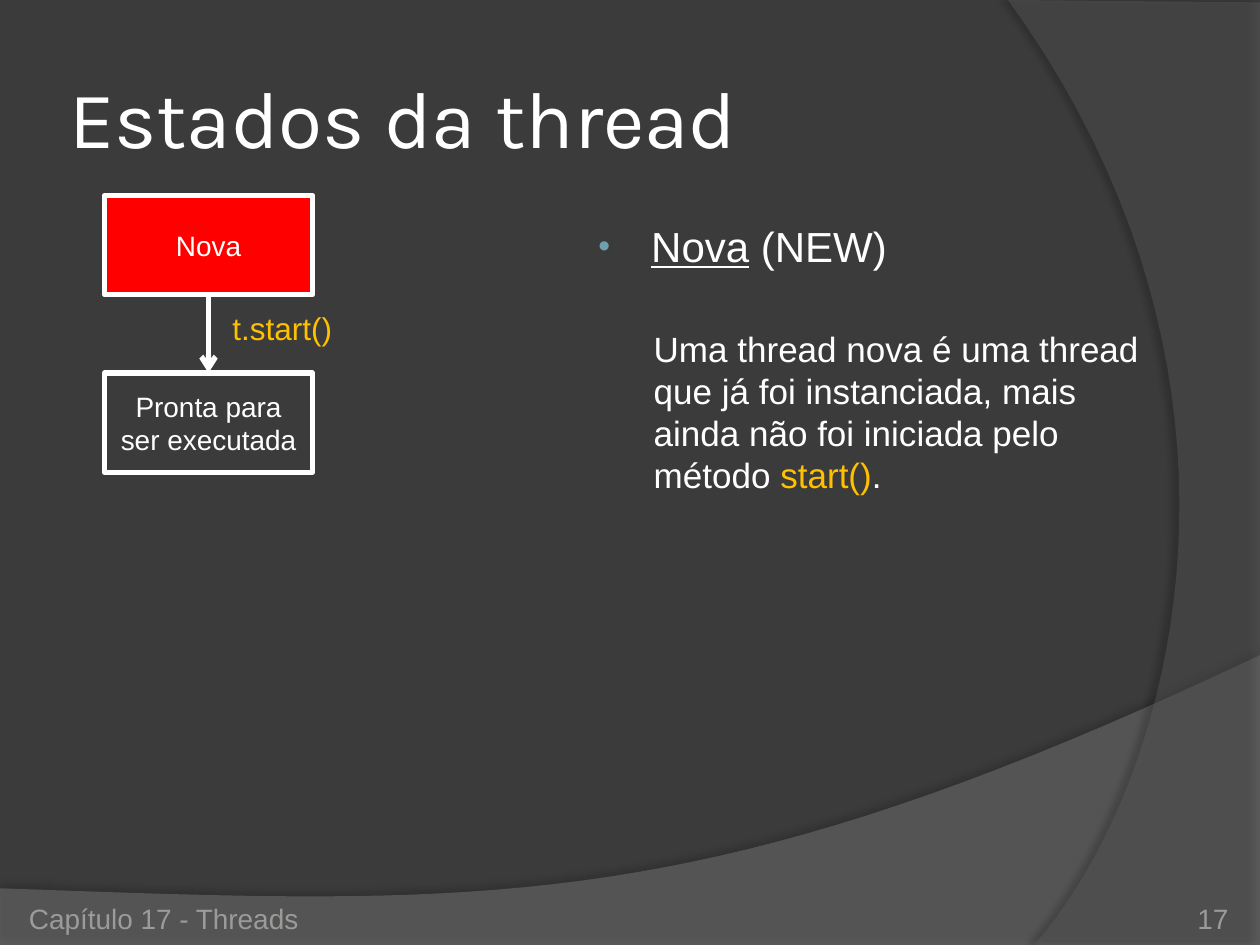
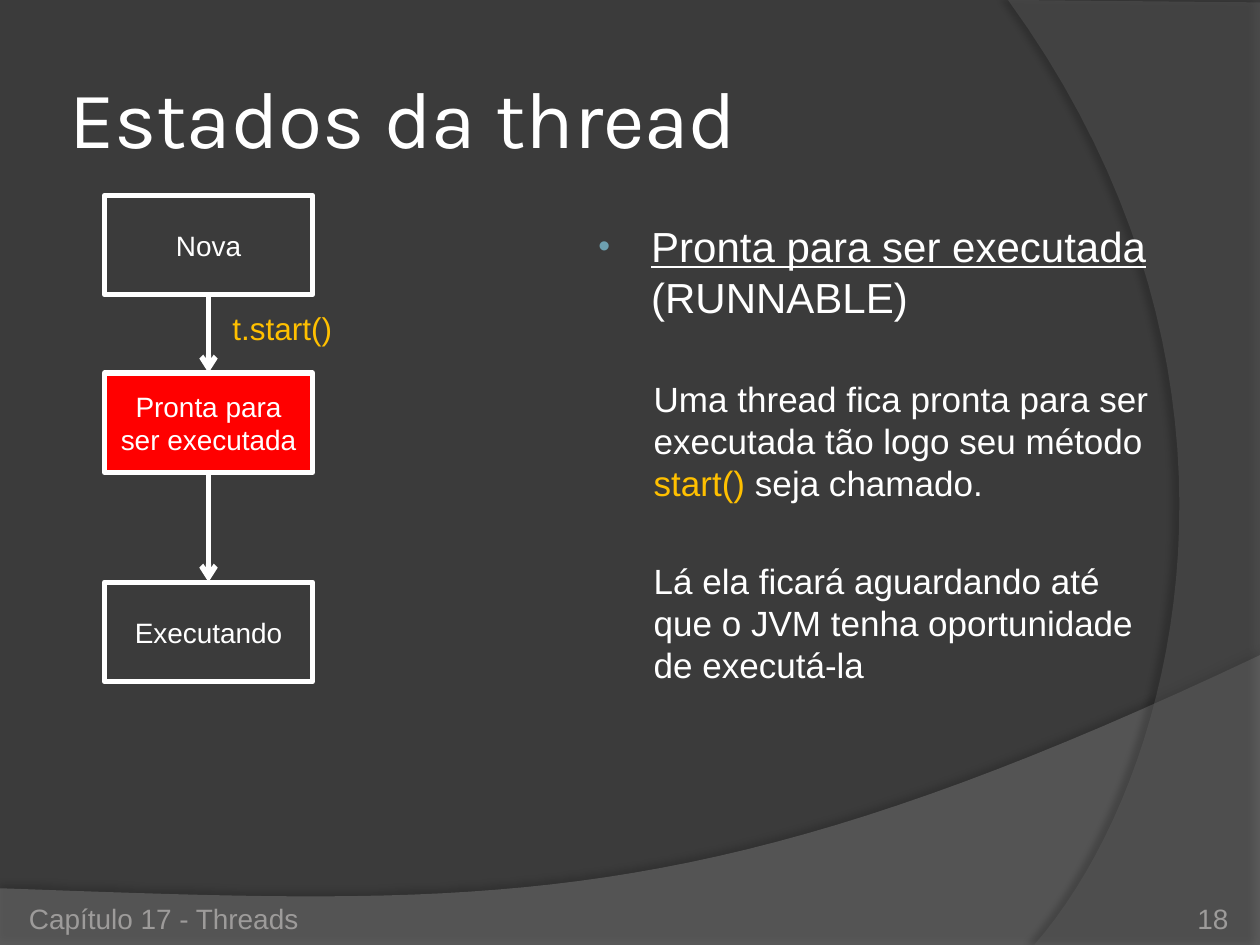
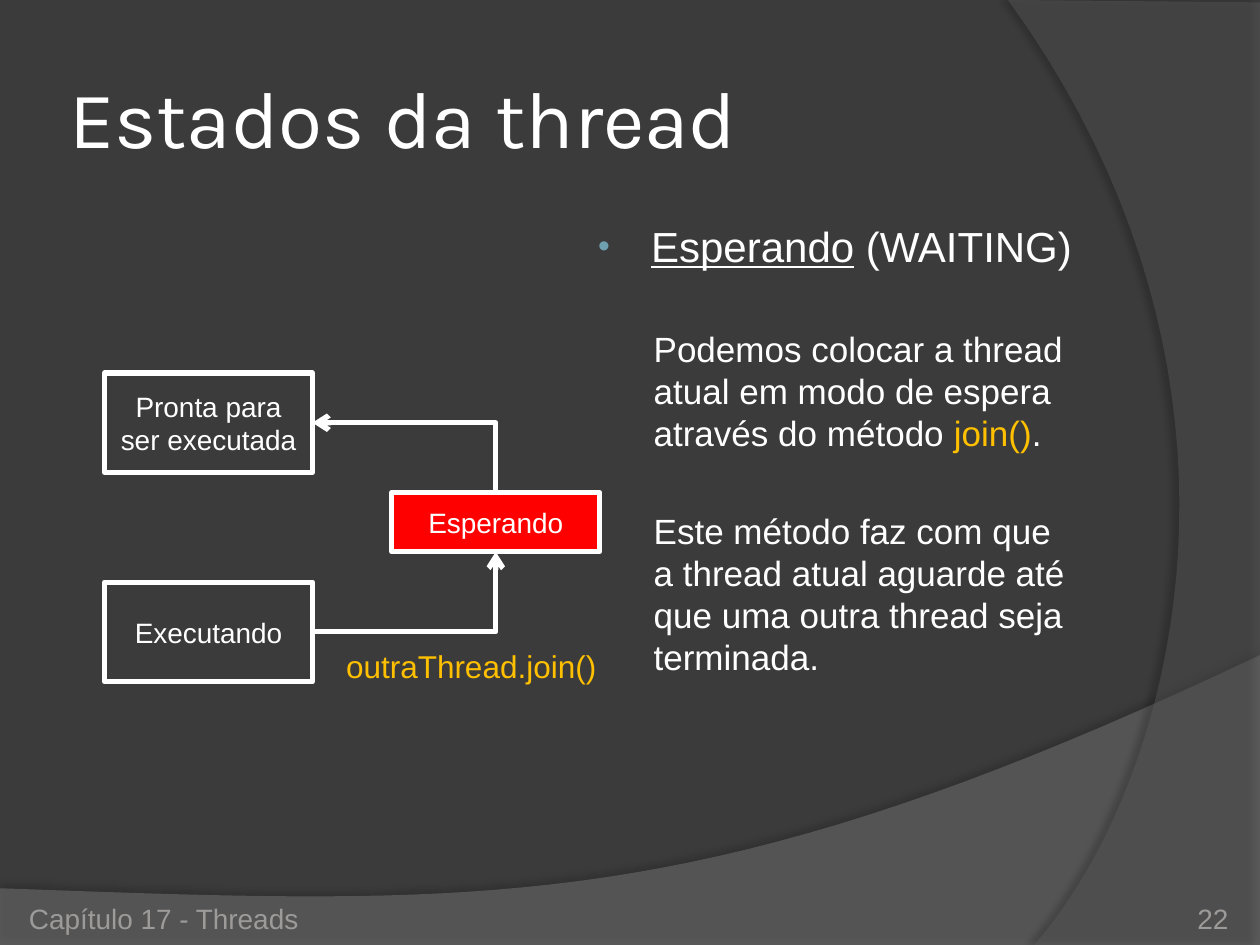
"""Build three slides on the states of a thread."""
from lxml.etree import SubElement
from pptx import Presentation
from pptx.dml.color import RGBColor
from pptx.enum.shapes import MSO_CONNECTOR as CONNECTOR, MSO_SHAPE as SHAPE
from pptx.enum.text import MSO_ANCHOR as ANCHOR, PP_ALIGN as ALIGN
from pptx.oxml.ns import qn
from pptx.util import Pt

BACKGROUND = RGBColor(0x3B, 0x3B, 0x3B)
LOWER_BAND = RGBColor(0x7F, 0x7F, 0x7F)
RIGHT_BAND = RGBColor(0x5E, 0x5E, 0x5E)
WHITE = RGBColor(0xFF, 0xFF, 0xFF)
BLACK = RGBColor(0x00, 0x00, 0x00)
RED = RGBColor(0xFF, 0x00, 0x00)
AMBER = RGBColor(0xFF, 0xC0, 0x00)
FOOTER_GRAY = RGBColor(0x9D, 0x9B, 0x9A)
BULLET_TEAL = RGBColor(0x6E, 0xA0, 0xB0)

STEPS = 40
BOX_LEFT, BOX_WIDTH, BOX_HEIGHT = 59.76, 118.8, 56.88
CENTER = BOX_LEFT + BOX_WIDTH / 2
BOX_RIGHT = BOX_LEFT + BOX_WIDTH
WAIT_LEFT, WAIT_TOP, WAIT_HEIGHT = 223.92, 281.52, 33.84
WAIT_CENTER = WAIT_LEFT + BOX_WIDTH / 2
NEW_TOP, READY_TOP, RUNNING_TOP = 111.6, 213.12, 332.64

BANDS = [
    (LOWER_BAND, 45, [(0, 540), (720, 540)],
     [(720, 374.4), (402.5, 525), (281.5, 517.7), (0, 507.6)], (35, 3.5, 270)),
    (RIGHT_BAND, 40, [(720, 1.4), (720, 540)],
     [(591, 540), (673.2, 445.7), (733, 216), (576, 0)], (45, 4, 180)),
]

STATES = {
    "new": (["Nova"], (BOX_LEFT, NEW_TOP, BOX_WIDTH, BOX_HEIGHT)),
    "ready": (["Pronta para", "ser executada"], (BOX_LEFT, READY_TOP, BOX_WIDTH, BOX_HEIGHT)),
    "running": (["Executando"], (BOX_LEFT, RUNNING_TOP, BOX_WIDTH, BOX_HEIGHT)),
    "waiting": (["Esperando"], (WAIT_LEFT, WAIT_TOP, BOX_WIDTH, WAIT_HEIGHT)),
}
ARROWS = {
    "start": (CENTER, NEW_TOP + BOX_HEIGHT, CENTER, READY_TOP, "tailEnd"),
    "run": (CENTER, READY_TOP + BOX_HEIGHT, CENTER, RUNNING_TOP, "tailEnd"),
    "join": (BOX_RIGHT, RUNNING_TOP + BOX_HEIGHT / 2,
             WAIT_CENTER, WAIT_TOP + WAIT_HEIGHT, "tailEnd"),
    "wake": (BOX_RIGHT, READY_TOP + BOX_HEIGHT / 2, WAIT_CENTER, WAIT_TOP, "headEnd"),
}
START_LABEL = ("t.start()", (121.68, 173.52, 79.2, 28.08))
JOIN_LABEL = ("outraThread.join()", (190.08, 366.48, 158.4, 28.08))

SLIDES = [
    {"number": "17", "states": ["new", "ready"], "active": "new",
     "arrows": ["start"], "label": START_LABEL, "body_width": 339.84,
     "heading": ("Nova", " (NEW)"),
     "body": [["Uma thread nova é uma thread que já foi instanciada, "
               "mais ainda não foi iniciada pelo método ", "start()", "."]]},
    {"number": "18", "states": ["new", "ready", "running"], "active": "ready",
     "arrows": ["start", "run"], "label": START_LABEL, "body_width": 339.84,
     "heading": ("Pronta para ser executada", " (RUNNABLE)"),
     "body": [["Uma thread fica pronta para ser executada tão logo seu método ",
               "start()", " seja chamado."],
              ["Lá ela ficará aguardando até que o JVM tenha oportunidade de executá-la"]]},
    {"number": "22", "states": ["ready", "running", "waiting"], "active": "waiting",
     "arrows": ["join", "wake"], "label": JOIN_LABEL, "body_width": 292.32,
     "heading": ("Esperando", " (WAITING)"),
     "body": [["Podemos colocar a thread atual em modo de espera através do método ",
               "join()", "."],
              ["Este método faz com que a thread atual aguarde até que "
               "uma outra thread seja terminada."]]},
]


def write(paragraph, text, size=16, color=WHITE, font="Arial", underline=False, align=ALIGN.LEFT):
    """Add a formatted run to a paragraph."""
    paragraph.alignment = align
    run = paragraph.add_run()
    run.text = text
    run.font.name = font
    run.font.size = Pt(size)
    run.font.color.rgb = color
    run.font.underline = underline


def add_xml(parent, tag, **attributes):
    """Append a drawing element and return it."""
    return SubElement(parent, qn(tag), {name: str(value) for name, value in attributes.items()})


presentation = Presentation()
presentation.slide_width = Pt(720)
presentation.slide_height = Pt(540)
master_fill = presentation.slide_master.background.fill
master_fill.solid()
master_fill.fore_color.rgb = BACKGROUND

for content in SLIDES:
    slide = presentation.slides.add_slide(presentation.slide_layouts[6])
    shapes = slide.shapes

    for color, opacity, corners, curve, (shadow_opacity, distance, angle) in BANDS:
        points = list(corners)
        for step in range(STEPS + 1):
            t = step / STEPS
            weights = ((1 - t) ** 3, 3 * t * (1 - t) ** 2, 3 * t ** 2 * (1 - t), t ** 3)
            points.append(tuple(sum(weight * point[axis] for weight, point in zip(weights, curve))
                                for axis in (0, 1)))
        outline = [(Pt(x), Pt(y)) for x, y in points]
        builder = shapes.build_freeform(*outline[0])
        builder.add_line_segments(outline[1:], close=True)
        band = builder.convert_to_shape()
        band.fill.solid()
        band.fill.fore_color.rgb = color
        properties = band.element.spPr
        add_xml(properties.find(".//" + qn("a:srgbClr")), "a:alpha", val=opacity * 1000)
        band.line.fill.background()
        band.shadow.inherit = False
        shadow = add_xml(properties.find(qn("a:effectLst")), "a:outerShdw", blurRad=Pt(4),
                         dist=Pt(distance), dir=angle * 60000, algn="ctr", rotWithShape=0)
        shadow_color = add_xml(shadow, "a:srgbClr", val=BLACK)
        add_xml(shadow_color, "a:alpha", val=shadow_opacity * 1000)

    label, label_box = content["label"]
    footer = {"color": FOOTER_GRAY}
    for text, box, anchor, margin, wrap, text_format in [
        ("Estados da thread", (36, 21.6, 658.8, 90), ANCHOR.MIDDLE, 3.6, True,
         {"size": 46, "font": "Karla"}),
        (content["number"], (642.24, 505.44, 59.76, 28.8), ANCHOR.BOTTOM, 0, True,
         {**footer, "align": ALIGN.RIGHT}),
        ("Capítulo 17 - Threads", (16.56, 505.44, 228.24, 28.8), ANCHOR.BOTTOM, 0, True, footer),
        (label, label_box, ANCHOR.MIDDLE, 3.6, False,
         {"size": 18, "color": AMBER, "align": ALIGN.CENTER}),
    ]:
        frame = shapes.add_textbox(*map(Pt, box)).text_frame
        frame.word_wrap = wrap
        frame.vertical_anchor = anchor
        frame.margin_left = frame.margin_right = Pt(margin)
        frame.margin_top = frame.margin_bottom = Pt(margin)
        write(frame.paragraphs[0], text, **text_format)

    body = shapes.add_textbox(Pt(331.92), Pt(122.4), Pt(content["body_width"]), Pt(360)).text_frame
    body.word_wrap = True
    heading = body.paragraphs[0]
    heading.line_spacing = Pt(29)
    state_name, constant = content["heading"]
    write(heading, state_name, size=24, underline=True)
    write(heading, constant, size=24)
    bullet = heading._p.get_or_add_pPr()
    bullet.set("marL", str(Pt(33.12)))
    bullet.set("indent", str(Pt(-30.24)))
    add_xml(add_xml(bullet, "a:buClr"), "a:srgbClr", val=BULLET_TEAL)
    add_xml(bullet, "a:buSzPct", val=80000)
    add_xml(bullet, "a:buFont", typeface="Arial")
    add_xml(bullet, "a:buChar", char="•")
    for parts in content["body"]:
        paragraph = body.add_paragraph()
        paragraph.line_spacing = Pt(24)
        paragraph.space_before = Pt(32)
        paragraph._p.get_or_add_pPr().set("marL", str(Pt(34.56)))
        for part in parts:
            write(paragraph, part, size=20, color=AMBER if part.endswith("()") else WHITE)

    for name in content["states"]:
        lines, box = STATES[name]
        state = shapes.add_shape(SHAPE.RECTANGLE, *map(Pt, box))
        state.shadow.inherit = False
        state.line.color.rgb = WHITE
        state.line.width = Pt(3)
        if name == content["active"]:
            state.fill.solid()
            state.fill.fore_color.rgb = RED
        else:
            state.fill.background()
        frame = state.text_frame
        frame.word_wrap = True
        frame.vertical_anchor = ANCHOR.MIDDLE
        for index, line in enumerate(lines):
            paragraph = frame.add_paragraph() if index else frame.paragraphs[0]
            write(paragraph, line, align=ALIGN.CENTER)

    for name in content["arrows"]:
        *ends, arrow_end = ARROWS[name]
        is_straight = ends[0] == ends[2]
        kind = CONNECTOR.STRAIGHT if is_straight else CONNECTOR.ELBOW
        arrow = shapes.add_connector(kind, *map(Pt, ends))
        arrow.line.color.rgb = WHITE
        arrow.line.width = Pt(3)
        properties = arrow.element.spPr
        if not is_straight:
            properties.find(qn("a:prstGeom")).set("prst", "bentConnector2")
        add_xml(properties.find(qn("a:ln")), "a:" + arrow_end, type="arrow")
        add_xml(properties, "a:effectLst")

presentation.save("out.pptx")
